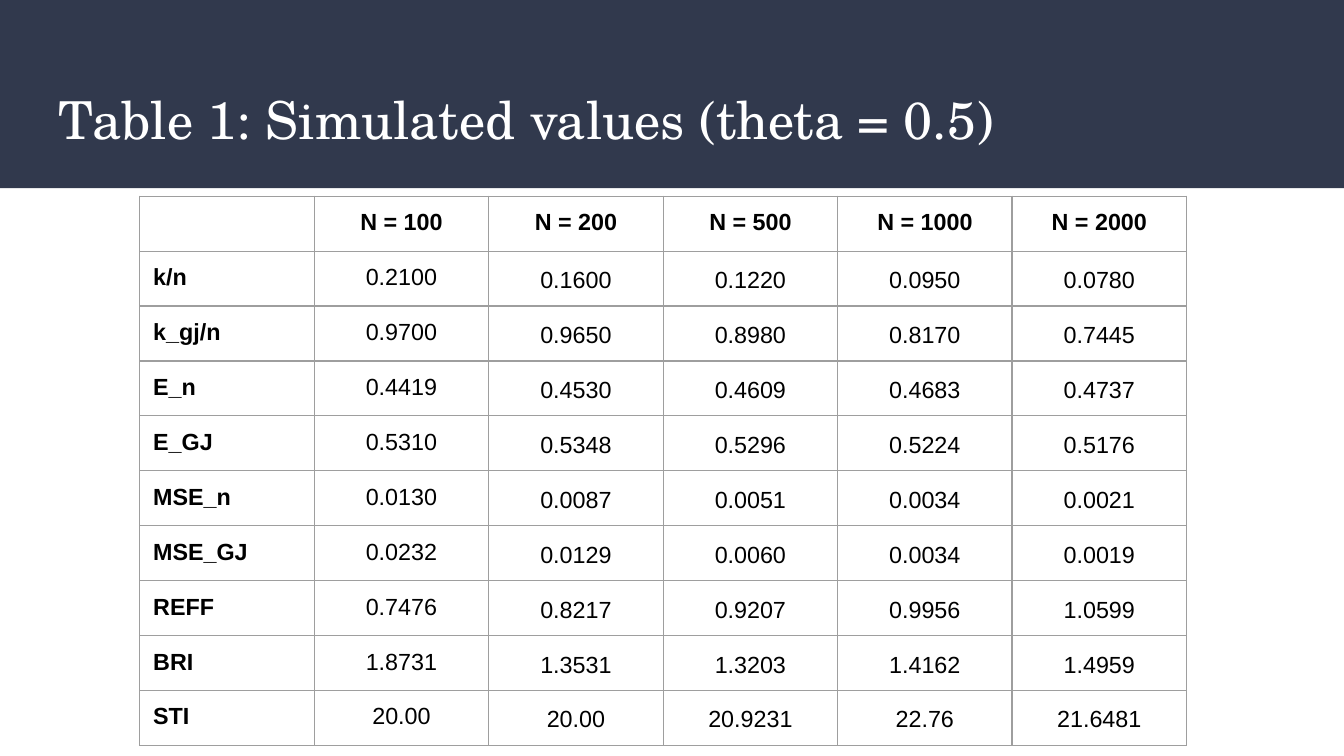
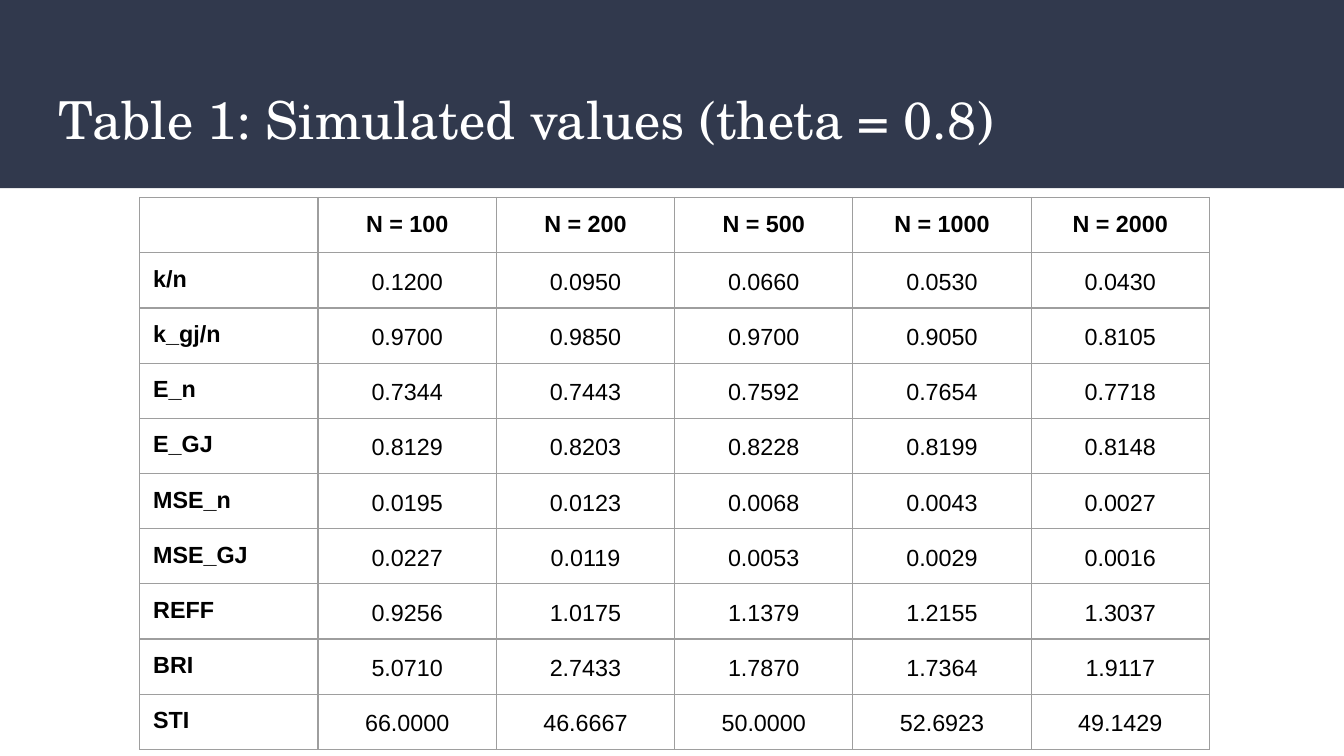
import lxml.etree
import pptx
import pptx.dml.color
import pptx.enum.shapes
import pptx.enum.text
import pptx.oxml.ns
import pptx.util

Inches = pptx.util.Inches
Pt = pptx.util.Pt
RGBColor = pptx.dml.color.RGBColor
Anchor = pptx.enum.text.MSO_ANCHOR
Align = pptx.enum.text.PP_ALIGN
qualified = pptx.oxml.ns.qn

NAVY = RGBColor(0x31, 0x39, 0x4D)
WHITE = RGBColor(0xFF, 0xFF, 0xFF)
BLACK = RGBColor(0x00, 0x00, 0x00)
GREY = RGBColor(0x9E, 0x9E, 0x9E)
TITLE_FONT = "TeX Gyre Schola"
BODY_FONT = "Arial"
TITLE_SIZE = Pt(28)
BODY_SIZE = Pt(12.5)
BORDER_WIDTH = Pt(0.75)
SLIDE_WIDTH = Inches(10)
SLIDE_HEIGHT = SLIDE_WIDTH * 9 // 16
WIDE_MARGINS = (0.1, 0.1)
NARROW_MARGINS = (0.03, 0.02)
TABLE_LEFT = Inches(1.04)

SAMPLE_SIZES = ["N = 100", "N = 200", "N = 500", "N = 1000", "N = 2000"]
MEASURES = ["k/n", "k_gj/n", "E_n", "E_GJ", "MSE_n", "MSE_GJ", "REFF", "BRI", "STI"]
VALUES_LOW_THETA = [
    ["0.2100", "0.1600", "0.1220", "0.0950", "0.0780"],
    ["0.9700", "0.9650", "0.8980", "0.8170", "0.7445"],
    ["0.4419", "0.4530", "0.4609", "0.4683", "0.4737"],
    ["0.5310", "0.5348", "0.5296", "0.5224", "0.5176"],
    ["0.0130", "0.0087", "0.0051", "0.0034", "0.0021"],
    ["0.0232", "0.0129", "0.0060", "0.0034", "0.0019"],
    ["0.7476", "0.8217", "0.9207", "0.9956", "1.0599"],
    ["1.8731", "1.3531", "1.3203", "1.4162", "1.4959"],
    ["20.00", "20.00", "20.9231", "22.76", "21.6481"],
]
VALUES_HIGH_THETA = [
    ["0.1200", "0.0950", "0.0660", "0.0530", "0.0430"],
    ["0.9700", "0.9850", "0.9700", "0.9050", "0.8105"],
    ["0.7344", "0.7443", "0.7592", "0.7654", "0.7718"],
    ["0.8129", "0.8203", "0.8228", "0.8199", "0.8148"],
    ["0.0195", "0.0123", "0.0068", "0.0043", "0.0027"],
    ["0.0227", "0.0119", "0.0053", "0.0029", "0.0016"],
    ["0.9256", "1.0175", "1.1379", "1.2155", "1.3037"],
    ["5.0710", "2.7433", "1.7870", "1.7364", "1.9117"],
    ["66.0000", "46.6667", "50.0000", "52.6923", "49.1429"],
]


class Deck:
    def __init__(self):
        self.presentation = pptx.Presentation()
        self.presentation.slide_width = SLIDE_WIDTH
        self.presentation.slide_height = SLIDE_HEIGHT
        self.slide = None

    def add_slide(self, title):
        self.slide = self.presentation.slides.add_slide(self.presentation.slide_layouts[6])
        self.slide.background.fill.solid()
        self.slide.background.fill.fore_color.rgb = WHITE
        self.add_band()
        self.add_title(title)

    def add_band(self):
        band = self.slide.shapes.add_shape(
            pptx.enum.shapes.MSO_SHAPE.RECTANGLE, 0, 0, SLIDE_WIDTH, Inches(1.4))
        band.shadow.inherit = False
        band.fill.solid()
        band.fill.fore_color.rgb = NAVY
        band.line.fill.background()

    def add_title(self, text):
        box = self.slide.shapes.add_textbox(
            Inches(0.34), Inches(0.55), Inches(9.32), Inches(0.68))
        frame = box.text_frame
        frame.word_wrap = True
        self.set_margins(frame, WIDE_MARGINS)
        self.add_run(frame.paragraphs[0], text, TITLE_FONT, TITLE_SIZE, WHITE)

    def add_table(self, top, width, height, values, first_narrow_column):
        """Value columns before first_narrow_column keep wide margins and top anchoring."""
        rows = [["", *SAMPLE_SIZES]]
        rows += [[measure, *line] for measure, line in zip(MEASURES, values)]
        table = self.slide.shapes.add_table(
            len(rows), len(rows[0]), TABLE_LEFT, Inches(top),
            Inches(width), Inches(height)).table
        table.first_row = False
        table.horz_banding = False
        for row_index, row in enumerate(rows):
            for column_index, text in enumerate(row):
                self.fill_cell(
                    table.cell(row_index, column_index), text,
                    bold=row_index == 0 or column_index == 0,
                    centered=column_index > 0,
                    narrow=row_index > 0 and column_index >= first_narrow_column)

    def fill_cell(self, cell, text, bold, centered, narrow):
        self.set_margins(cell, NARROW_MARGINS if narrow else WIDE_MARGINS)
        cell.vertical_anchor = Anchor.MIDDLE if narrow else Anchor.TOP
        self.set_borders(cell)
        cell.fill.background()
        paragraph = cell.text_frame.paragraphs[0]
        paragraph.alignment = Align.CENTER if centered else Align.LEFT
        if narrow:
            paragraph.line_spacing = 1.15
        if text:
            self.add_run(paragraph, text, BODY_FONT, BODY_SIZE, BLACK, bold)
        else:
            # The size of an empty paragraph keeps its row from growing.
            lxml.etree.SubElement(paragraph._p, qualified("a:endParaRPr"),
                                  sz=str(int(BODY_SIZE.pt * 100)))

    @staticmethod
    def set_margins(holder, margins):
        horizontal, vertical = margins
        holder.margin_left = holder.margin_right = Inches(horizontal)
        holder.margin_top = holder.margin_bottom = Inches(vertical)

    @staticmethod
    def set_borders(cell):
        properties = cell._tc.get_or_add_tcPr()
        for side in ("a:lnL", "a:lnR", "a:lnT", "a:lnB"):
            line = lxml.etree.SubElement(properties, qualified(side), w=str(int(BORDER_WIDTH)))
            fill = lxml.etree.SubElement(line, qualified("a:solidFill"))
            lxml.etree.SubElement(fill, qualified("a:srgbClr"), val=str(GREY))

    @staticmethod
    def add_run(paragraph, text, font_name, size, color, bold=False):
        run = paragraph.add_run()
        run.text = text
        run.font.name = font_name
        run.font.size = size
        run.font.bold = bold
        run.font.color.rgb = color


def main():
    deck = Deck()
    deck.add_slide("Table 1: Simulated values (theta = 0.5)")
    deck.add_table(1.46, 7.79, 4.07, VALUES_LOW_THETA, first_narrow_column=2)
    deck.add_slide("Table 1: Simulated values (theta = 0.8)")
    deck.add_table(1.47, 7.96, 4.11, VALUES_HIGH_THETA, first_narrow_column=1)
    deck.presentation.save("out.pptx")


if __name__ == "__main__":
    main()
